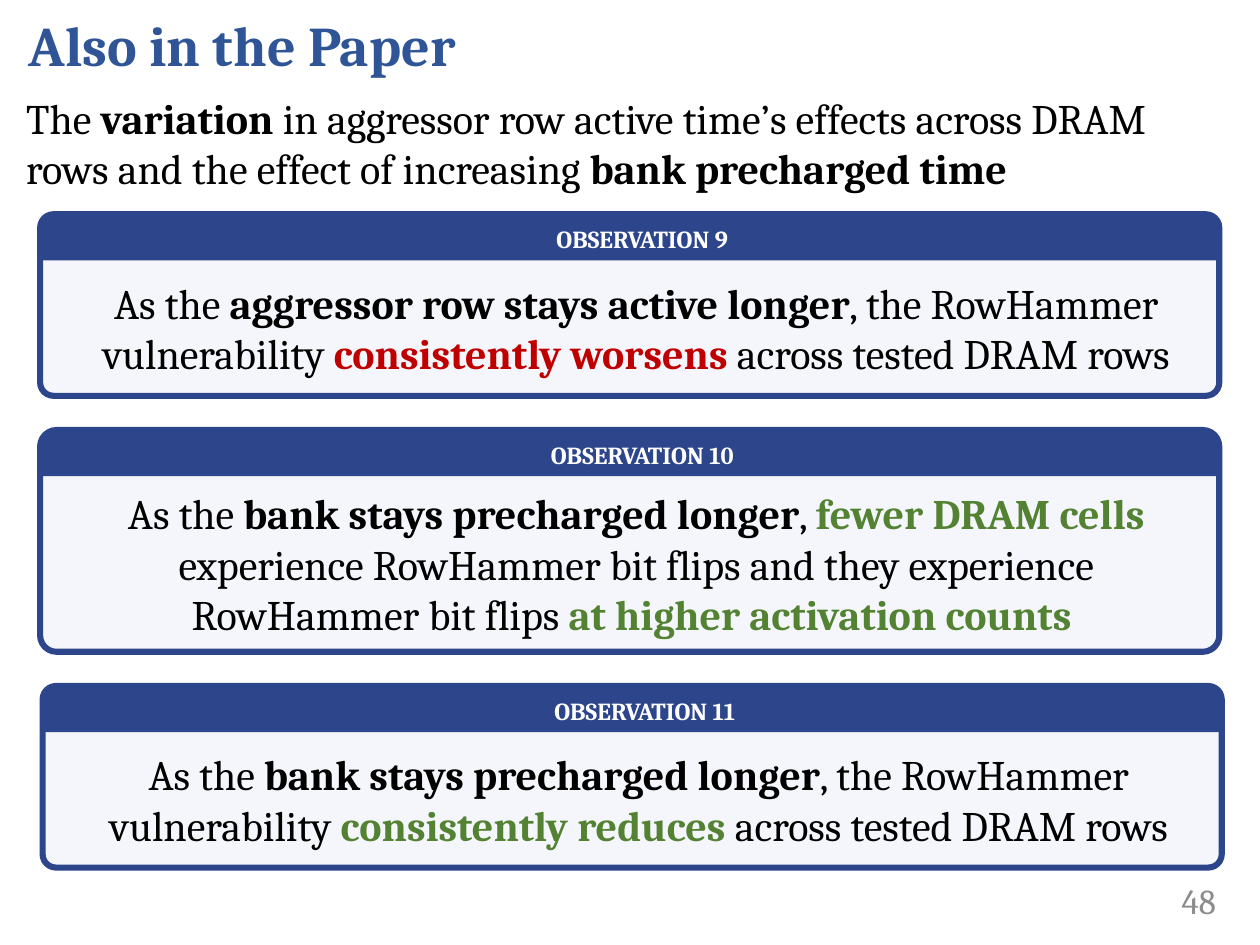
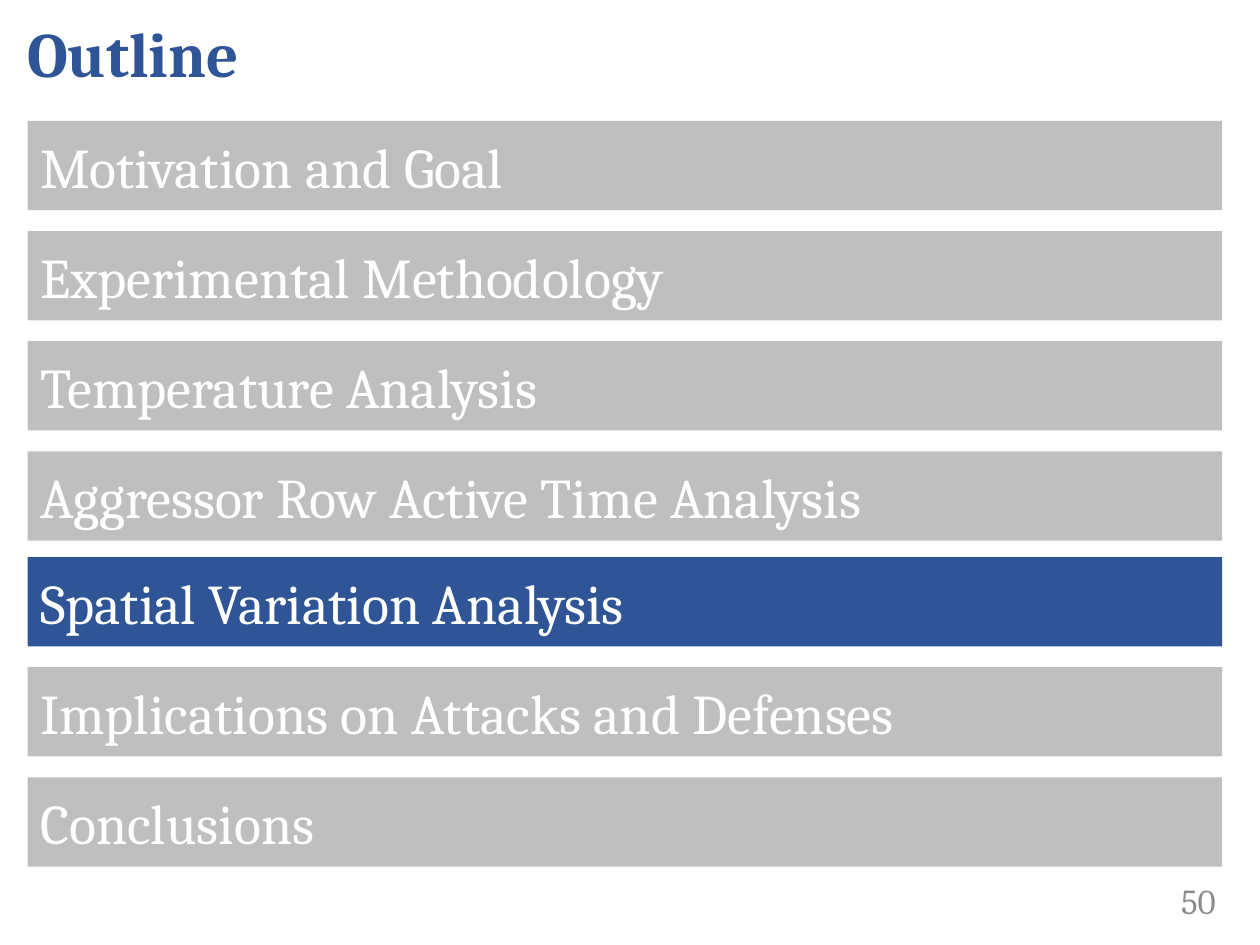
from pptx import Presentation
from pptx.dml.color import RGBColor
from pptx.enum import shapes, text
from pptx.util import Cm, Pt

FONT = "Cambria"
TITLE_BLUE = RGBColor(0x2F, 0x55, 0x97)
PANEL_BLUE = RGBColor(0x2D, 0x45, 0x8A)
PANEL_FILL = RGBColor(0xF5, 0xF6, 0xFB)
BAR_GREY = RGBColor(0xBF, 0xBF, 0xBF)
NUMBER_GREY = RGBColor(0x8C, 0x8C, 0x8C)
RED = RGBColor(0xC0, 0x00, 0x00)
GREEN = RGBColor(0x53, 0x82, 0x33)
BLACK = RGBColor(0x00, 0x00, 0x00)
WHITE = RGBColor(0xFF, 0xFF, 0xFF)

LEFT, CENTER, RIGHT = text.PP_ALIGN.LEFT, text.PP_ALIGN.CENTER, text.PP_ALIGN.RIGHT
TOP, MIDDLE = text.MSO_ANCHOR.TOP, text.MSO_ANCHOR.MIDDLE
SHAPE = shapes.MSO_SHAPE

PANEL_WIDTH, PANEL_GAP, HEADER_HEIGHT = 23.77, 0.69, 0.91
BAR_HEIGHT, BAR_PITCH = 1.8, 2.22

# Emphasised runs are (text, colour) pairs; plain strings are regular black
INTRO = [
    "The ", ("variation ", BLACK),
    "in aggressor row active time’s effects across DRAM rows "
    "and the effect of increasing ", ("bank precharged time", BLACK),
]

# Left, height, heading, statement
OBSERVATIONS = [
    (0.81, 3.66, "OBSERVATION 9", [
        "As the ", ("aggressor row stays active longer", BLACK),
        ", the RowHammer vulnerability ", ("consistently worsens ", RED),
        "across tested DRAM rows"]),
    (0.81, 4.47, "OBSERVATION 10", [
        "As the ", ("bank stays precharged longer", BLACK), ", ",
        ("fewer DRAM cells ", GREEN),
        "experience RowHammer bit flips and they experience RowHammer bit flips ",
        ("at higher activation counts ", GREEN)]),
    (0.86, 3.66, "OBSERVATION 11", [
        "As the ", ("bank stays precharged longer", BLACK),
        ", the RowHammer vulnerability ", ("consistently reduces ", GREEN),
        "across tested DRAM rows"]),
]

SECTIONS = [
    "Motivation and Goal", "Experimental Methodology", "Temperature Analysis",
    "Aggressor Row Active Time Analysis", "Spatial Variation Analysis",
    "Implications on Attacks and Defenses", "Conclusions",
]
CURRENT = SECTIONS.index("Spatial Variation Analysis")


def write(sp, runs, size, color=BLACK, bold=False, align=LEFT, anchor=MIDDLE,
          insets=(0.25, 0.13, 0.25, 0.13)):
    """Fill a shape with one paragraph and return that paragraph."""
    tf = sp.text_frame
    tf.word_wrap = True
    tf.vertical_anchor = anchor
    tf.margin_left, tf.margin_top, tf.margin_right, tf.margin_bottom = map(Cm, insets)
    p = tf.paragraphs[0]
    p.alignment = align
    p.font.name, p.font.size = FONT, Pt(size)
    p.font.color.rgb, p.font.bold = color, bold
    for run in runs:
        r = p.add_run()
        if isinstance(run, tuple):
            r.text, r.font.color.rgb = run
            r.font.bold = True
        else:
            r.text = run
    return p


def add_text(s, box, runs, size, **style):
    return write(s.shapes.add_textbox(*map(Cm, box)), runs, size, **style)


def add_shape(s, kind, box, fill, line=None, width=1):
    sp = s.shapes.add_shape(kind, *map(Cm, box))
    sp.shadow.inherit = False
    sp.fill.solid()
    sp.fill.fore_color.rgb = fill
    if line is None:
        sp.line.fill.background()
    else:
        sp.line.color.rgb = line
        sp.line.width = Pt(width)
    return sp


def add_base(prs, title, title_box, title_size, number):
    """Blank slide with the shared title style and page number."""
    s = prs.slides.add_slide(prs.slide_layouts[6])
    p = add_text(s, title_box, [title], title_size, color=TITLE_BLUE, bold=True)
    p.space_after = Pt(6)
    add_text(s, (22.02, 17.65, 2.74, 1.02), [str(number)], 20,
             color=NUMBER_GREY, align=RIGHT)
    return s


def add_panel(s, left, top, width, height, heading, statement):
    # Frame
    frame = add_shape(s, SHAPE.ROUNDED_RECTANGLE, (left, top, width, height),
                      PANEL_FILL, PANEL_BLUE, 3.5)
    frame.adjustments[0] = 0.074
    # Heading band
    band = add_shape(s, SHAPE.ROUND_2_SAME_RECTANGLE,
                     (left, top, width, HEADER_HEIGHT), PANEL_BLUE, PANEL_BLUE)
    band.adjustments[0] = 0.337
    write(band, [heading], 14, color=WHITE, bold=True, align=CENTER,
          insets=(0.51, 0, 0, 0))
    # Statement, centred in the space below the band
    add_text(s, (left, top + HEADER_HEIGHT, width, height - HEADER_HEIGHT),
             statement, 24, align=CENTER, insets=(0.51, 0.13, 0.25, 0.13))


def add_bars(s, left, top, width):
    for i, section in enumerate(SECTIONS):
        # The current section and those after it sit slightly higher
        y = top + i * BAR_PITCH - (0.09 if i >= CURRENT else 0)
        bar = add_shape(s, SHAPE.RECTANGLE, (left, y, width, BAR_HEIGHT),
                        TITLE_BLUE if i == CURRENT else BAR_GREY)
        write(bar, [section], 32, color=WHITE)


def build_paper_slide(prs):
    s = add_base(prs, "Also in the Paper", (0.33, 0, 23.65, 1.78), 32, 48)
    add_text(s, (0.28, 1.73, 24.31, 2.31), INTRO, 24, anchor=TOP)
    top = 4.32
    for left, height, heading, statement in OBSERVATIONS:
        add_panel(s, left, top, PANEL_WIDTH, height, heading, statement)
        top += height + PANEL_GAP


def build_outline_slide(prs):
    s = add_base(prs, "Outline", (0.3, 0, 24.66, 2.13), 36, 50)
    add_bars(s, 0.56, 2.44, 24.08)


def main():
    prs = Presentation()
    prs.slide_width, prs.slide_height = Cm(25.4), Cm(19.05)
    build_paper_slide(prs)
    build_outline_slide(prs)
    prs.save("out.pptx")


if __name__ == "__main__":
    main()
